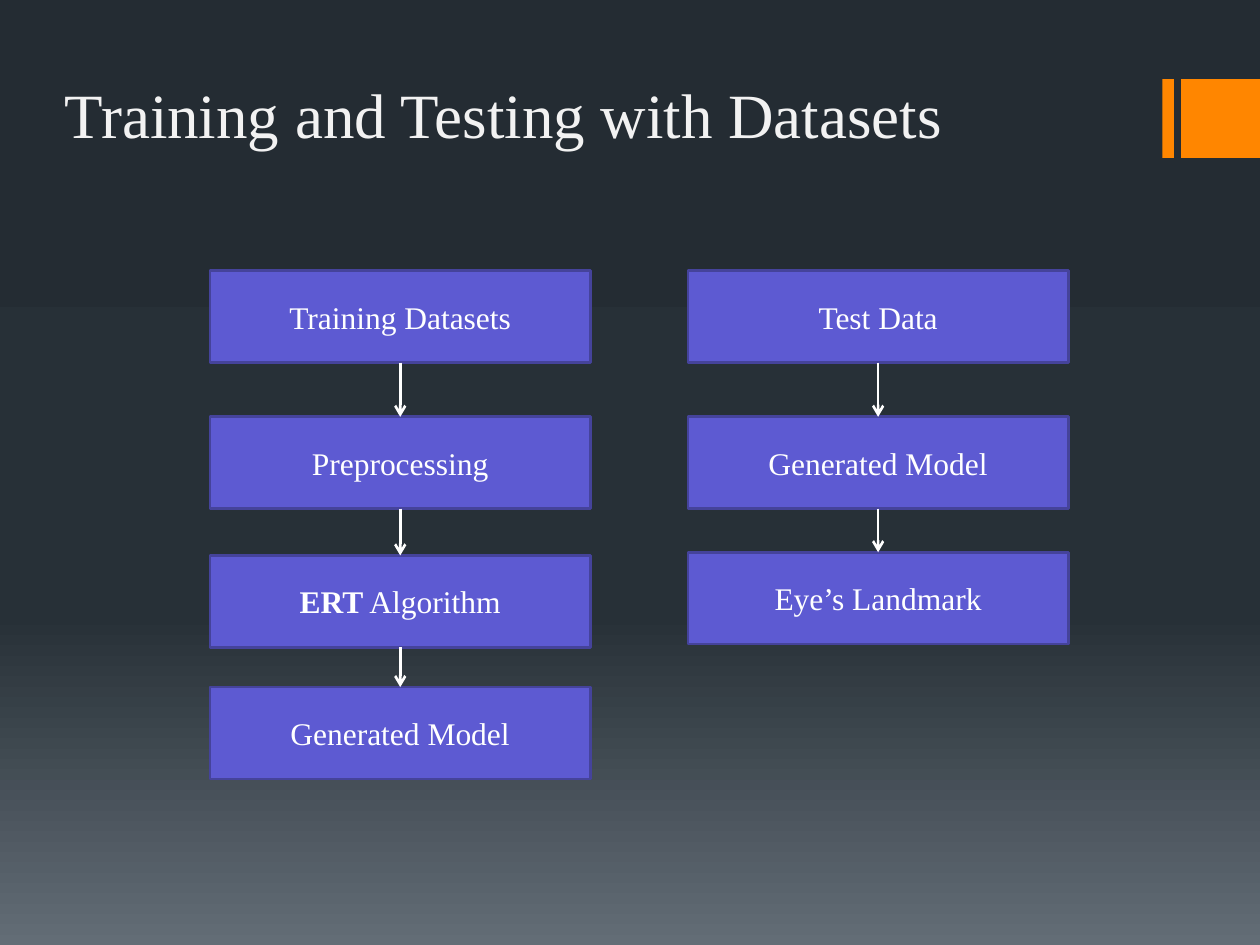
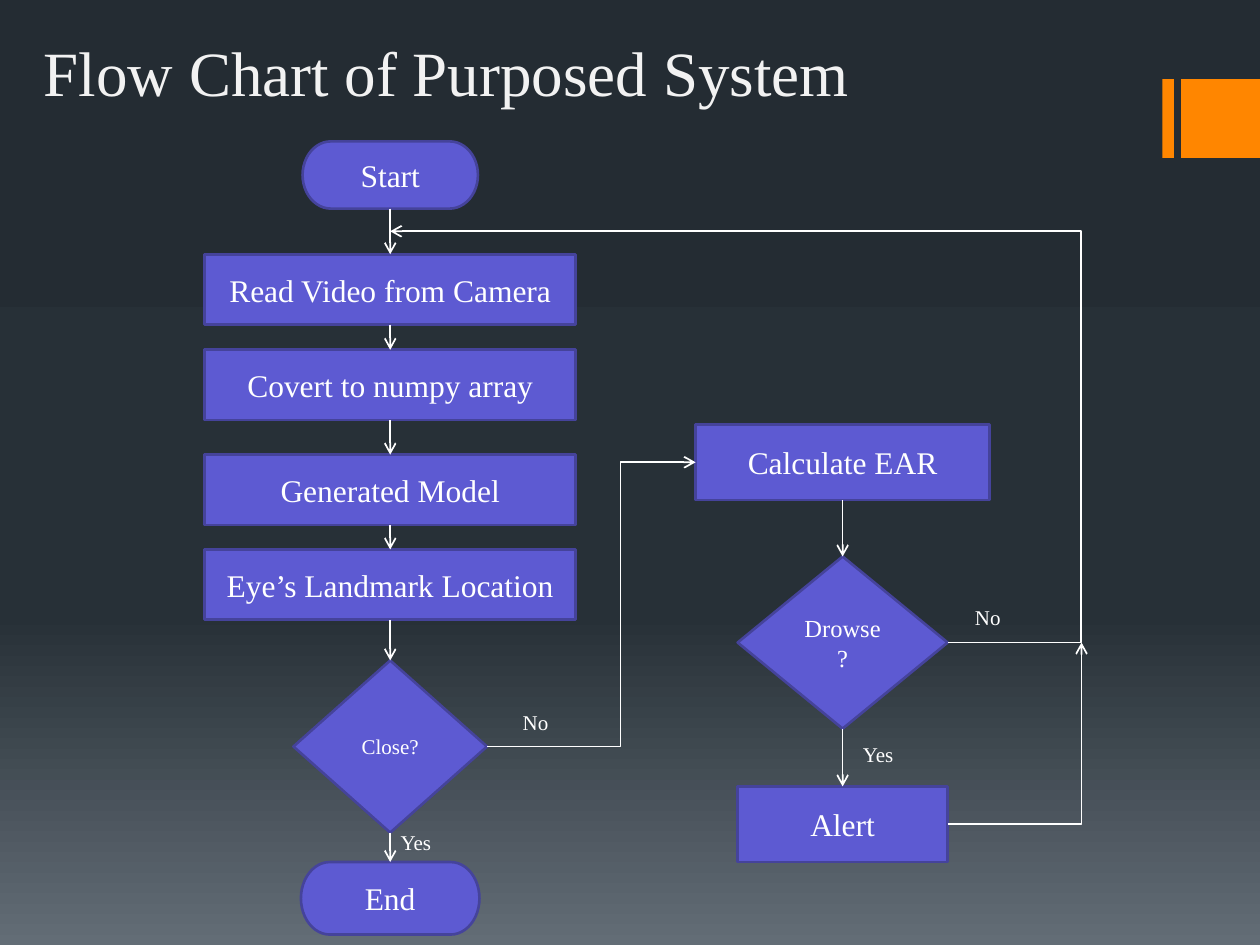
import copy

import pptx
import pptx.dml.color
import pptx.enum.shapes
import pptx.enum.text
import pptx.oxml
import pptx.oxml.ns
import pptx.util

Pt = pptx.util.Pt
SHAPE = pptx.enum.shapes.MSO_SHAPE
CONNECTOR = pptx.enum.shapes.MSO_CONNECTOR
ANCHOR = pptx.enum.text.MSO_ANCHOR
ALIGN = pptx.enum.text.PP_ALIGN
TOP, LEFT, BOTTOM, RIGHT = range(4)  # connection sites of a flow chart shape


def colour(hex_string):
    return pptx.dml.color.RGBColor.from_string(hex_string)


class Deck:
    FONT = "Times New Roman"
    WHITE, TITLE = "FFFFFF", "F2F2F2"
    BOX, BORDER, ACCENT = "5D5AD2", "45439B", "FF8600"
    BACKGROUND = ((0, "242C33"), (0.65, "273037"), (1, "636D76"))

    def __init__(self):
        self.file = pptx.Presentation()
        self.file.slide_width, self.file.slide_height = Pt(720), Pt(540)
        self.slide = None

    def new_slide(self, title, left, top):
        self.slide = self.file.slides.add_slide(self.file.slide_layouts[6])
        self.background()
        for band_left, width in ((664.2, 6.6), (674.9, 45.1)):
            self.shape(SHAPE.RECTANGLE, band_left, 45.2, width, 45.1, self.ACCENT)
        self.text(title, left, top, 612, 60, 36, self.TITLE, ANCHOR.BOTTOM)

    def background(self):
        fill = self.slide.background.fill
        fill.gradient()
        fill.gradient_angle = 270
        stop_list = self.slide.background._cSld.xpath(".//a:gsLst")[0]
        stop_list.append(copy.deepcopy(stop_list[0]))
        for stop, (position, shade) in zip(fill.gradient_stops, self.BACKGROUND):
            stop.position = position
            stop.color.rgb = colour(shade)

    def shape(self, kind, left, top, width, height, fill, border=None):
        shape = self.slide.shapes.add_shape(
            kind, Pt(left), Pt(top), Pt(width), Pt(height))
        shape.shadow.inherit = False
        shape.fill.solid()
        shape.fill.fore_color.rgb = colour(fill)
        if border:
            shape.line.color.rgb = colour(border)
            shape.line.width = Pt(1.5)
        else:
            shape.line.fill.background()
        return shape

    def runs(self, paragraph, runs, size, shade):
        for words, bold in runs:
            run = paragraph.add_run()
            run.text = words
            run.font.name, run.font.size, run.font.bold = self.FONT, Pt(size), bold
            run.font.color.rgb = colour(shade)

    def text(self, words, left, top, width, height, size, shade, anchor, wrap=True):
        frame = self.slide.shapes.add_textbox(
            Pt(left), Pt(top), Pt(width), Pt(height)).text_frame
        frame.word_wrap = wrap
        frame.vertical_anchor = anchor
        self.runs(frame.paragraphs[0], [(words, False)], size, shade)

    def label(self, words, left, top):
        self.text(words, left, top, 32, 21.8, 12, self.WHITE, ANCHOR.TOP, wrap=False)

    def step(self, kind, words, centre, top, width, height, size=18):
        """A flow chart box; words is a string or a list of (text, bold)."""
        step = self.shape(kind, centre - width / 2, top, width, height,
                          self.BOX, self.BORDER)
        frame = step.text_frame
        frame.word_wrap = True
        frame.vertical_anchor = ANCHOR.MIDDLE
        frame.paragraphs[0].alignment = ALIGN.CENTER
        runs = [(words, False)] if isinstance(words, str) else words
        self.runs(frame.paragraphs[0], runs, size, self.WHITE)
        return step

    def connector(self, kind, weight, start=(0, 0), end=(0, 0)):
        line = self.slide.shapes.add_connector(kind, *map(Pt, (*start, *end)))
        line.line.color.rgb = colour(self.WHITE)
        line.line.width = Pt(weight)
        head = pptx.oxml.parse_xml(
            "<a:tailEnd %s type='arrow'/>" % pptx.oxml.ns.nsdecls("a"))
        line.line._get_or_add_ln().append(head)
        line._element.spPr.append(pptx.oxml.parse_xml(
            "<a:effectLst %s/>" % pptx.oxml.ns.nsdecls("a")))
        return line

    def chain(self, steps, weight):
        """Join each step to the one below it."""
        for upper, lower in zip(steps, steps[1:]):
            arrow = self.connector(CONNECTOR.STRAIGHT, weight)
            arrow.begin_connect(upper, BOTTOM)
            arrow.end_connect(lower, TOP)

    def elbow(self, start, end, bend=None):
        """Bend at a fraction of the width, or once at the corner if None."""
        line = self.connector(CONNECTOR.ELBOW, 1, start, end)
        outline = line._element.spPr.find(pptx.oxml.ns.qn("a:prstGeom"))
        if bend is None:
            outline.set("prst", "bentConnector2")
        else:
            guides = outline.find(pptx.oxml.ns.qn("a:avLst"))
            guides.append(pptx.oxml.parse_xml(
                "<a:gd %s name='adj1' fmla='val %d'/>"
                % (pptx.oxml.ns.nsdecls("a"), round(bend * 100000))))


deck = Deck()

# Slide 1: training and testing columns
deck.new_slide("Training and Testing with Datasets", 30, 30)
training = [("Training Datasets", 154.7), ("Preprocessing", 238.2),
            ([("ERT", True), (" Algorithm", False)], 317.4),
            ("Generated Model", 392.6)]
testing = [("Test Data", 154.7), ("Generated Model", 238.2),
           ("Eye\u2019s Landmark", 315.6)]
for centre, stages in ((228.7, training), (501.8, testing)):
    deck.chain([deck.step(SHAPE.RECTANGLE, words, centre, top, 217.4, 52.5)
                for words, top in stages], 1.5)

# Slide 2: main column, from video to eye state
deck.new_slide("Flow Chart of Purposed System", 18, 6)
MAIN, ALARM = 223, 481.5
start = deck.step(SHAPE.FLOWCHART_TERMINATOR, "Start", MAIN, 80.8, 100.2, 38.4)
reading = [deck.step(SHAPE.FLOWCHART_PROCESS, words, MAIN, top, 212, 40.2)
           for words, top in (("Read Video from Camera", 145.3),
                              ("Covert to numpy array", 199.9),
                              ("Generated Model", 259.8),
                              ("Eye\u2019s Landmark Location", 314))]
close = deck.step(SHAPE.FLOWCHART_DECISION, "Close?", MAIN, 377.4, 110.6, 98.4, 12)
end = deck.step(SHAPE.FLOWCHART_TERMINATOR, "End", MAIN, 492.6, 102, 41.4)
deck.chain([start, *reading, close, end], 1)

# Alarm column
ear = deck.step(SHAPE.FLOWCHART_PROCESS, "Calculate EAR", ALARM, 242.6, 168, 43.2)
drowse = deck.step(SHAPE.FLOWCHART_DECISION, "Drowse?", ALARM, 318, 120, 98.4, 14)
alert = deck.step(SHAPE.FLOWCHART_PROCESS, "Alert", ALARM, 449.4, 120, 43.2)
deck.chain([ear, drowse, alert], 1)

# Branches and loop back to the camera
deck.elbow((278.3, 426.6), (397.5, 264.2), 0.64)
deck.elbow((541.5, 367.2), (MAIN, 132.2), -0.24)
deck.elbow((541.5, 471), (618, 367.2))

# Branch labels
for words, left, top in (("Yes", 221.8, 470.5), ("No", 291.6, 401.8),
                         ("No", 550, 342), ("Yes", 486, 420)):
    deck.label(words, left, top)

deck.file.save("out.pptx")
